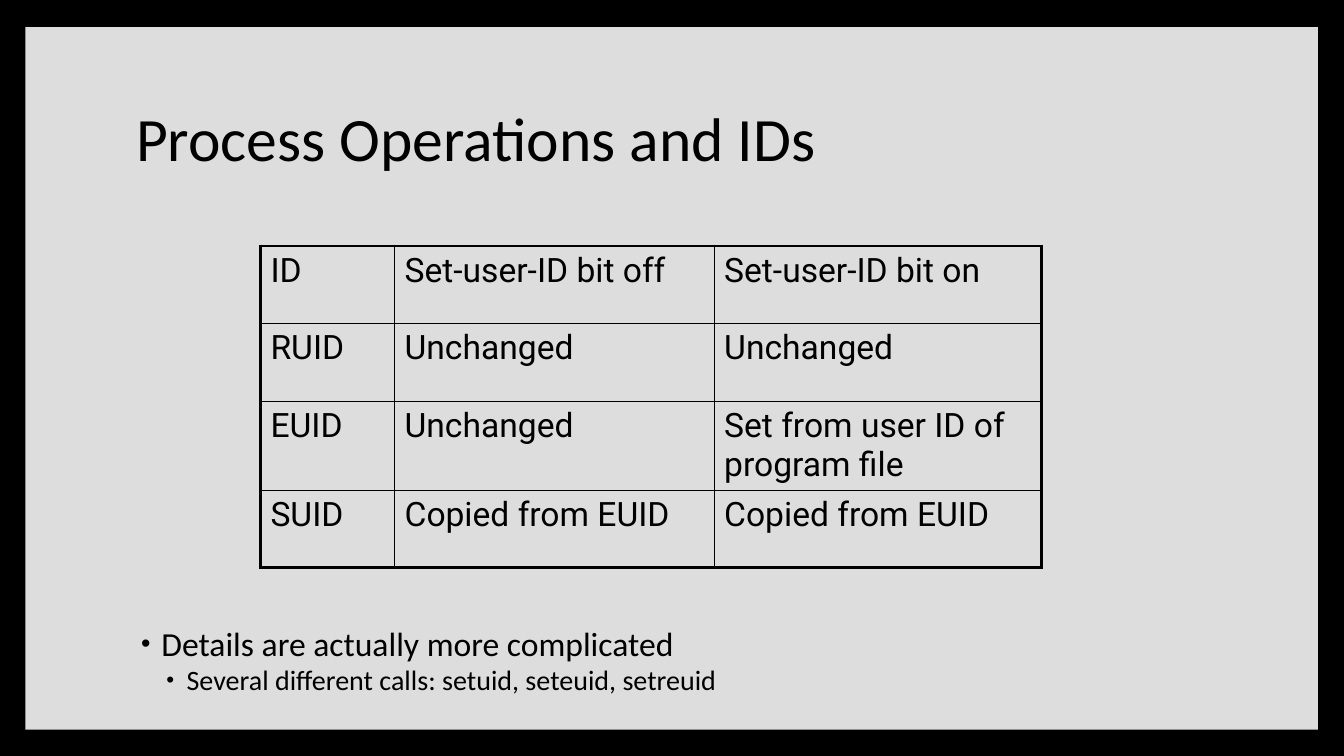
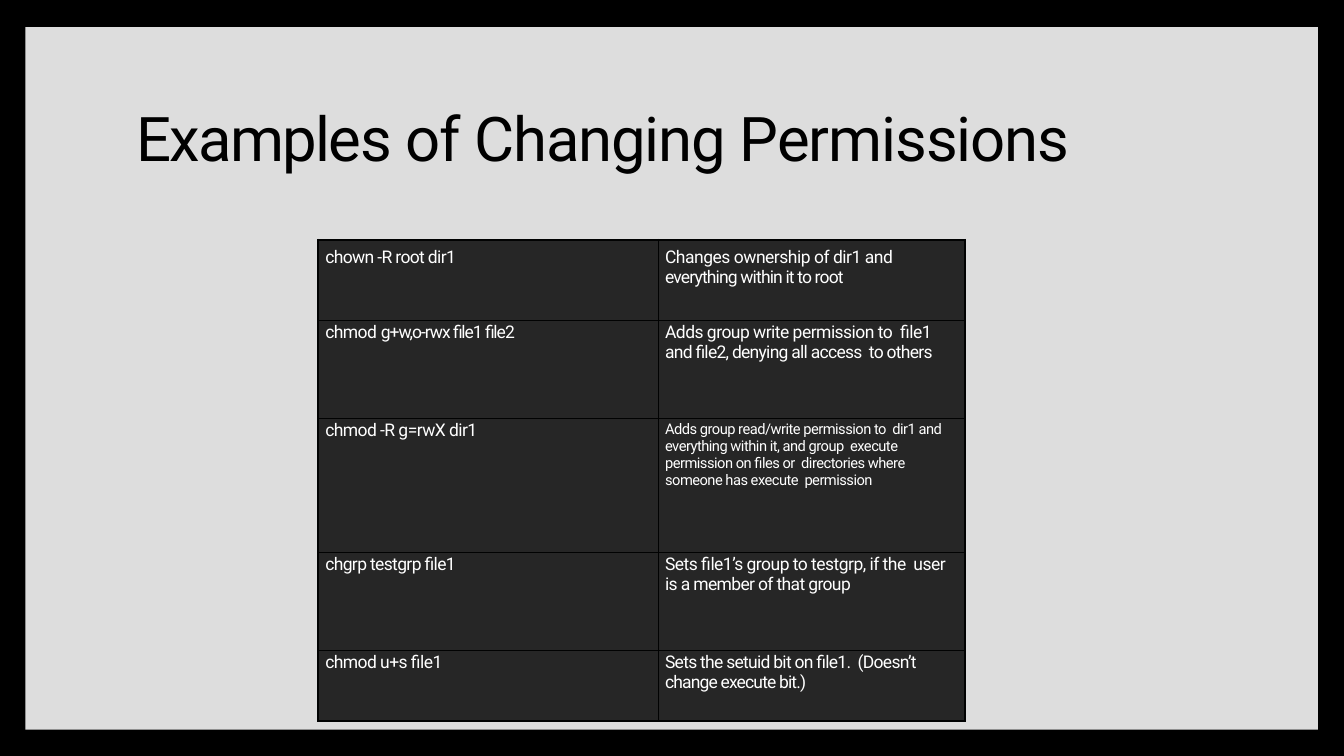
from lxml.etree import SubElement
from pptx import Presentation
from pptx.dml.color import RGBColor
from pptx.enum.shapes import MSO_SHAPE
from pptx.enum.text import MSO_ANCHOR, MSO_AUTO_SIZE, PP_ALIGN
from pptx.oxml.ns import qn
from pptx.util import Inches, Pt

COLORS = {
    "frame": "000000",
    "panel": "DDDDDD",
    "ink": "000000",
    "grid": "010202",
    "dark_cell": "262626",
    "light_ink": "FFFFFF",
}
WIDTH, HEIGHT = Inches(13.33), Inches(7.5)

PANEL = (1.88, 3.6, 96.17, 92.93)
TITLE = (9.38, 8.8, 81.02, 19.73)
DETAILS = (9.38, 82.27, 83.87, 12.27)
ID_TABLE = (19.38, 32.53, 58.14, 41.07)
COMMAND_TABLE = (23.68, 31.73, 48.09, 63.6)

ID_ROWS = [
    ("ID", "Set-user-ID bit off", "Set-user-ID bit on"),
    ("RUID", "Unchanged", "Unchanged"),
    ("EUID", "Unchanged", "Set from user ID of program file"),
    ("SUID", "Copied from EUID", "Copied from EUID"),
]
COMMAND_TITLE = [("Examples ", -1.2), ("of ", -1), ("Changing ", -0.9), ("Permissions", -0.8)]
COMMAND_ROWS = [
    ([("chown -R root dir1", -0.45)],
     [("Changes ownership of dir1 and  ", -0.35), ("everything within it to root", -0.6)]),
    ([("chmod ", -0.4), ("g+w,o-rwx file1 file2", -0.7)],
     [("Adds group write permission to  file1 ", -0.38),
      ("and file2, denying all access  to others", -0.5)]),
    ([("chmod -R g=rwX dir1", -0.4)],
     [("Adds group read/write permission to  dir1 and everything within it, and group  execute "
       "permission on files or  directories where someone has execute  permission", -0.33)]),
    ([("chgrp testgrp file1", -0.45)],
     [("Sets file1’s group to testgrp, if the  user ", -0.38),
      ("is a member of that group", -0.45)]),
    ([("chmod u+s file1", -0.4)],
     [("Sets the setuid bit on file1.  (Doesn’t ", -0.5), ("change execute bit.)", -0.6)]),
]
LONG_ROW = 2


def rgb(name):
    return RGBColor.from_string(COLORS[name])


def share_box(shares):
    left, top, width, height = shares
    return (int(WIDTH * left / 100), int(HEIGHT * top / 100),
            int(WIDTH * width / 100), int(HEIGHT * height / 100))


def place(shape, shares):
    shape.left, shape.top, shape.width, shape.height = share_box(shares)


def write_text(para, text, size, font="Calibri", color="ink", line=None, before=0, after=0):
    para.alignment = PP_ALIGN.LEFT
    para.space_before, para.space_after = Pt(before), Pt(after)
    if line:
        para.line_spacing = line
    for words, tracking in [(text, 0)] if isinstance(text, str) else text:
        span = para.add_run()
        span.text = words
        span.font.size, span.font.name = Pt(size), font
        span.font.color.rgb = rgb(color)
        if tracking:
            span.font._element.set("spc", str(round(tracking * 100)))


def add_bullet(para, indent):
    props = para._p.get_or_add_pPr()
    props.set("marL", str(Inches(indent)))
    props.set("indent", str(-Inches(0.2)))
    tint = SubElement(props, qn("a:buClr"))
    SubElement(tint, qn("a:srgbClr")).set("val", COLORS["ink"])
    SubElement(props, qn("a:buSzPct")).set("val", "80000")
    SubElement(props, qn("a:buChar")).set("char", "•")


def add_border(cell, side, color, weight):
    edge = SubElement(cell._tc.get_or_add_tcPr(), qn(f"a:ln{side}"), w=str(Pt(weight)))
    fill = SubElement(edge, qn("a:solidFill"))
    SubElement(fill, qn("a:srgbClr")).set("val", COLORS[color])


def start_deck():
    deck = Presentation()
    deck.slide_width, deck.slide_height = WIDTH, HEIGHT
    backdrop = deck.slide_master.background.fill
    backdrop.solid()
    backdrop.fore_color.rgb = rgb("frame")
    return deck


def add_page(deck, layout, title_text, title_font):
    page = deck.slides.add_slide(deck.slide_layouts[layout])
    panel = page.shapes.add_shape(MSO_SHAPE.RECTANGLE, *share_box(PANEL))
    panel.shadow.inherit = False
    panel.fill.solid()
    panel.fill.fore_color.rgb = rgb("panel")
    panel.line.fill.background()
    page.shapes.element.insert(2, panel.element)
    title = page.shapes.title
    place(title, TITLE)
    frame = title.text_frame
    frame.auto_size = MSO_AUTO_SIZE.NONE
    frame.vertical_anchor = MSO_ANCHOR.MIDDLE
    write_text(frame.paragraphs[0], title_text, 44, font=title_font, line=0.9)
    return page


def add_details(page, items):
    body = page.placeholders[1]
    place(body, DETAILS)
    frame = body.text_frame
    frame.auto_size = MSO_AUTO_SIZE.NONE
    for level, text in enumerate(items):
        para = frame.add_paragraph() if level else frame.paragraphs[0]
        para.level = level
        add_bullet(para, 0.25 * (level + 1))
        write_text(para, text, 24 - 4 * level, line=0.9, before=2 * level, after=4 * level)


def add_grid(page, shares, rows, columns, heights, border, outer, inner, fill, style_cell):
    left, top, width, height = share_box(shares)
    table = page.shapes.add_table(len(rows), len(columns), left, top, width, height).table
    table.first_row = table.horz_banding = False
    for column, weight in zip(table.columns, columns):
        column.width = int(width * weight / sum(columns))
    for row, weight in zip(table.rows, heights):
        row.height = int(height * weight / sum(heights))
    for r, texts in enumerate(rows):
        for c, text in enumerate(texts):
            cell = table.cell(r, c)
            edges = {"L": c == 0, "R": c == len(columns) - 1,
                     "T": r == 0, "B": r == len(rows) - 1}
            for side, is_outer in edges.items():
                add_border(cell, side, border, outer if is_outer else inner)
            if fill:
                cell.fill.solid()
                cell.fill.fore_color.rgb = rgb(fill)
            else:
                cell.fill.background()
            style_cell(cell, text, r, c)


def style_id_cell(cell, text, row, column):
    write_text(cell.text_frame.paragraphs[0], text, 24, font="Roboto")


def style_command_cell(cell, text, row, column):
    cell.margin_left, cell.margin_bottom = Inches(0.07), 0
    cell.margin_right = Inches(0.15 * column)
    cell.margin_top = Inches(0.02 if row else 0.07)
    is_long = row == LONG_ROW and column == 1
    write_text(cell.text_frame.paragraphs[0], text, 10.5 if is_long else 12.5, font="Roboto",
               color="light_ink", line=1.01 if is_long else None)


def build_id_page(deck):
    page = add_page(deck, 1, "Process Operations and IDs", "Calibri")
    add_details(page, ["Details are actually more complicated",
                       "Several different calls: setuid, seteuid, setreuid"])
    add_grid(page, ID_TABLE, ID_ROWS, (1.33, 3.17, 3.25), (1, 1, 1, 1),
             "ink", 2.25, 1, None, style_id_cell)


def build_command_page(deck):
    page = add_page(deck, 5, COMMAND_TITLE, "Roboto")
    add_grid(page, COMMAND_TABLE, COMMAND_ROWS, (3.37, 3.04), (0.8, 0.97, 1.33, 0.97, 0.7),
             "grid", 1.5, 0.75, "dark_cell", style_command_cell)


def main():
    deck = start_deck()
    build_id_page(deck)
    build_command_page(deck)
    deck.save("out.pptx")


if __name__ == "__main__":
    main()
